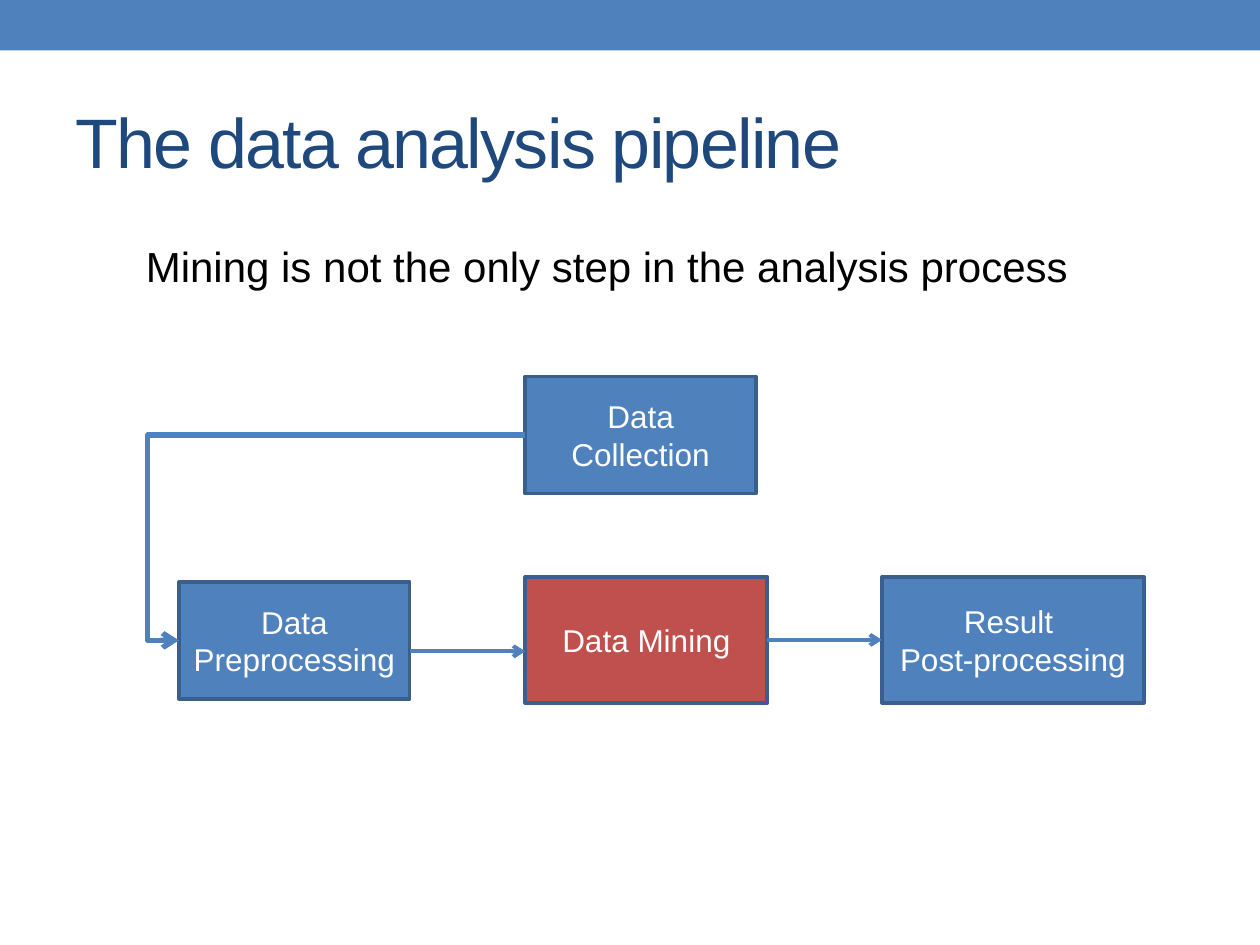
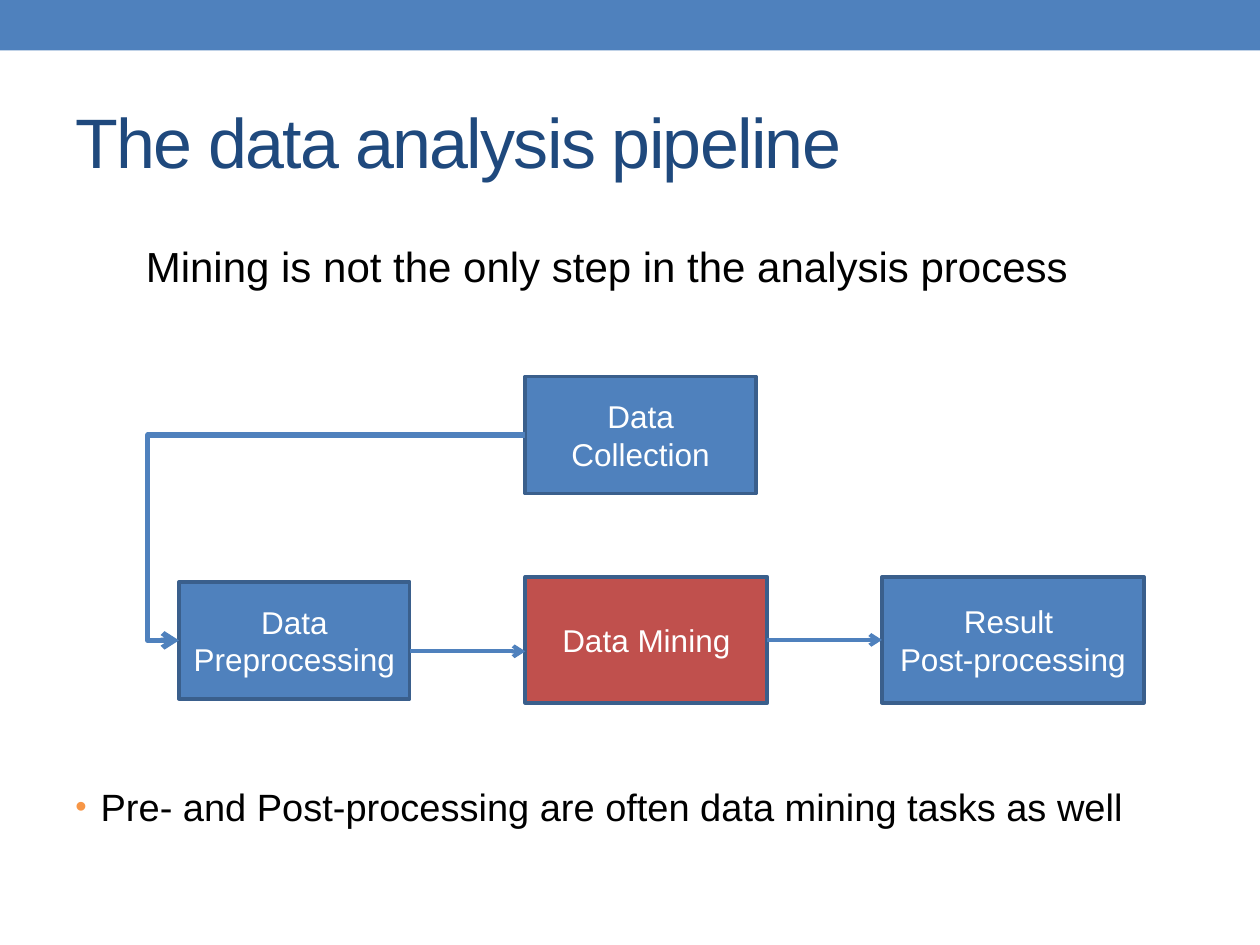
from dataclasses import dataclass

import lxml.etree
import pptx
import pptx.dml.color
import pptx.enum.shapes
import pptx.enum.text
import pptx.util
from pptx.oxml.ns import qn

Cm, Pt = pptx.util.Cm, pptx.util.Pt
ALIGN = pptx.enum.text.PP_ALIGN
ANCHOR = pptx.enum.text.MSO_ANCHOR
CONNECTOR = pptx.enum.shapes.MSO_CONNECTOR

# Shared style
FONT = "Arial"
COLORS = {
    "blue": "4F81BD",
    "red": "C0504D",
    "outline": "3A5F8C",
    "title": "1F497D",
    "text": "000000",
    "white": "FFFFFF",
    "bullet": "F79646",
}
TITLE = "The data analysis pipeline"
SUBTITLE = "Mining is not the only step in the analysis process"
REMARK = "Pre- and Post-processing are often data mining tasks as well"


# Lengths in these classes are centimetres
@dataclass(frozen=True)
class Step:
    text: str
    left: float
    top: float
    width: float
    height: float
    fill: str = "blue"

    @property
    def right(self) -> float:
        return self.left + self.width

    @property
    def middle(self) -> float:
        return self.top + self.height / 2


@dataclass(frozen=True)
class Arrow:
    x1: float
    y1: float
    x2: float
    y2: float
    weight: float = 2.25
    detour: float = 0  # how far an elbow runs past its end


COLLECTION = Step("Data Collection", 10.59, 7.59, 4.65, 2.36)
PREPROCESSING = Step("Data Preprocessing", 3.61, 11.73, 4.65, 2.36)
MINING = Step("Data Mining", 10.59, 11.63, 4.88, 2.54, "red")
RESULT = Step("Result \nPost-processing", 17.78, 11.63, 5.28, 2.54)
STEPS = [PREPROCESSING, MINING, RESULT, COLLECTION]

ARROWS = [
    Arrow(PREPROCESSING.right, 13.13, MINING.left, 13.13),
    Arrow(MINING.right, MINING.middle, RESULT.left, RESULT.middle),
    Arrow(COLLECTION.left, COLLECTION.middle,
          PREPROCESSING.left, PREPROCESSING.middle, 3, 0.63),
]


def rgb(name: str) -> pptx.dml.color.RGBColor:
    return pptx.dml.color.RGBColor.from_string(COLORS[name])


def write(tf, text: str, size: float, color: str, align=ALIGN.LEFT) -> None:
    tf.text = text
    tf.word_wrap = True
    for p in tf.paragraphs:
        p.alignment = align
        for r in p.runs:
            r.font.name = FONT
            r.font.size = Pt(size)
            r.font.color.rgb = rgb(color)


def add_rect(s, left: float, top: float, width: float, height: float, fill: str):
    sp = s.shapes.add_shape(pptx.enum.shapes.MSO_SHAPE.RECTANGLE,
                            Cm(left), Cm(top), Cm(width), Cm(height))
    sp.shadow.inherit = False
    sp.fill.solid()
    sp.fill.fore_color.rgb = rgb(fill)
    return sp


def add_text(s, left: float, top: float, width: float, height: float,
             text: str, size: float):
    tf = s.shapes.add_textbox(Cm(left), Cm(top), Cm(width), Cm(height)).text_frame
    write(tf, text, size, "text")
    return tf


def add_band(s, layout) -> None:
    """Draw the top band and move it to the layout behind all slides."""
    sp = add_rect(s, 0, 0, 25.4, 1.02, "blue")
    sp.line.fill.background()
    sp.element.nvSpPr.cNvPr.set("id", "20")
    layout.element.cSld.spTree.insert(2, sp.element)


def set_title(s) -> None:
    sp = s.shapes.title
    sp.left, sp.top, sp.width, sp.height = Cm(1.27), Cm(1.47), Cm(22.86), Cm(2.74)
    tf = sp.text_frame
    write(tf, TITLE, 40, "title")
    tf.auto_size = pptx.enum.text.MSO_AUTO_SIZE.NONE
    tf.vertical_anchor = ANCHOR.MIDDLE
    tf.paragraphs[0].runs[0].font._element.set("spc", "-100")


def add_step(s, step: Step) -> None:
    sp = add_rect(s, step.left, step.top, step.width, step.height, step.fill)
    sp.line.color.rgb = rgb("outline")
    sp.line.width = Pt(2.08)
    sp.text_frame.vertical_anchor = ANCHOR.MIDDLE
    write(sp.text_frame, step.text, 18, "white", ALIGN.CENTER)


def add_arrow(s, arrow: Arrow) -> None:
    kind = CONNECTOR.ELBOW if arrow.detour else CONNECTOR.STRAIGHT
    c = s.shapes.add_connector(kind, Cm(arrow.x1), Cm(arrow.y1),
                               Cm(arrow.x2), Cm(arrow.y2))
    c.line.color.rgb = rgb("blue")
    c.line.width = Pt(arrow.weight)
    spPr = c.element.spPr
    lxml.etree.SubElement(spPr.find(qn("a:ln")), qn("a:tailEnd"), type="arrow")
    lxml.etree.SubElement(spPr, qn("a:effectLst"))
    if arrow.detour:
        ratio = 1 + arrow.detour / abs(arrow.x2 - arrow.x1)
        guides = spPr.find(qn("a:prstGeom")).find(qn("a:avLst"))
        lxml.etree.SubElement(guides, qn("a:gd"), name="adj1",
                              fmla=f"val {round(ratio * 100000)}")


def add_bullet(p) -> None:
    pPr = p._p.get_or_add_pPr()
    indent = Cm(0.51)
    pPr.set("marL", str(indent))
    pPr.set("indent", str(-indent))
    color = lxml.etree.SubElement(pPr, qn("a:buClr"))
    lxml.etree.SubElement(color, qn("a:srgbClr"), val=COLORS["bullet"])
    lxml.etree.SubElement(pPr, qn("a:buSzPct"), val="85000")
    lxml.etree.SubElement(pPr, qn("a:buFont"), typeface=FONT)
    lxml.etree.SubElement(pPr, qn("a:buChar"), char="•")


def draw_pipeline(s) -> None:
    set_title(s)
    for step in STEPS:
        add_step(s, step)
    for arrow in ARROWS:
        add_arrow(s, arrow)
    add_text(s, 2.69, 4.72, 20.17, 2.31, SUBTITLE, 24)


def main() -> None:
    prs = pptx.Presentation()
    prs.slide_width, prs.slide_height = Cm(25.4), Cm(19.05)
    layout = prs.slide_layouts[5]

    # Slide 1: the pipeline
    s = prs.slides.add_slide(layout)
    add_band(s, layout)
    draw_pipeline(s)

    # Slide 2: the pipeline with a remark
    s = prs.slides.add_slide(layout)
    draw_pipeline(s)
    tf = add_text(s, 1.27, 15.67, 22.86, 1.7, REMARK, 21.7)
    add_bullet(tf.paragraphs[0])

    prs.save("out.pptx")


if __name__ == "__main__":
    main()
